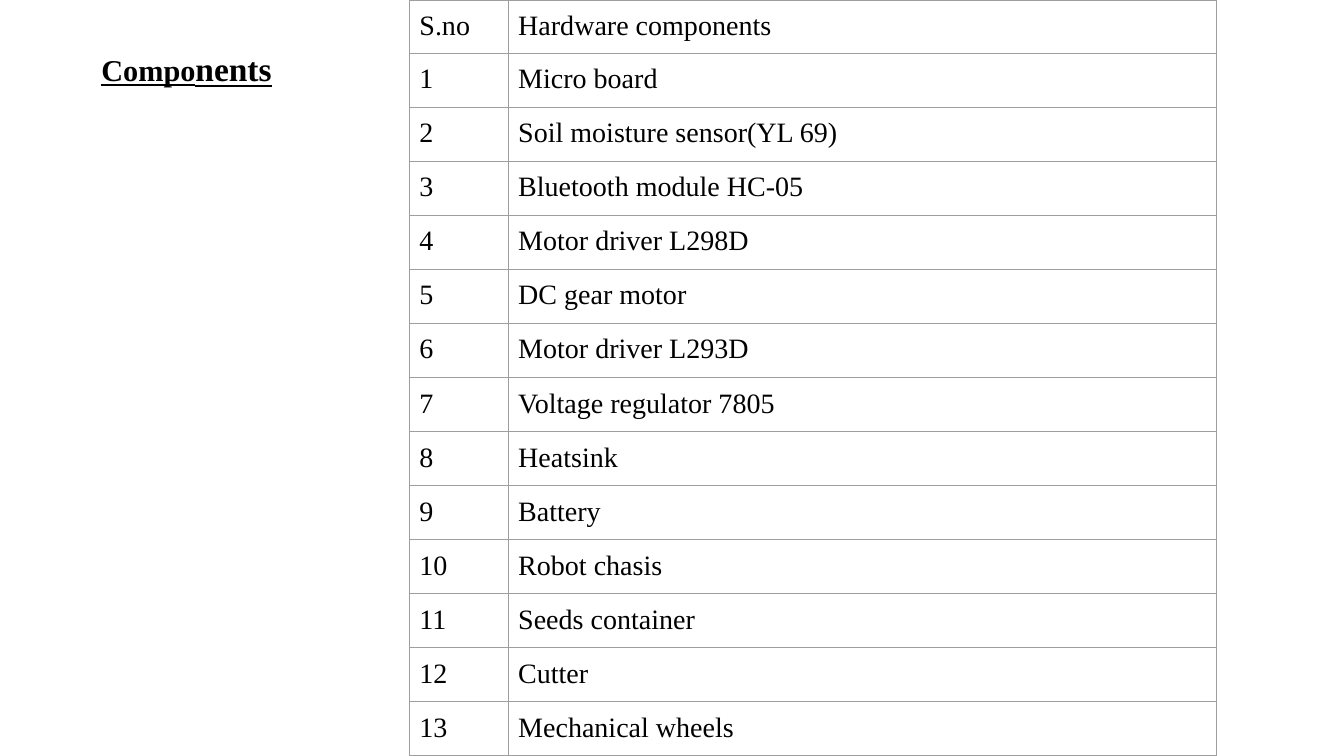
from dataclasses import dataclass

from lxml.etree import SubElement
from pptx import Presentation
from pptx.dml.color import RGBColor
from pptx.enum.text import MSO_ANCHOR, PP_ALIGN
from pptx.oxml.ns import qn
from pptx.slide import Slide
from pptx.table import _Cell
from pptx.text.text import _Paragraph
from pptx.util import Inches, Pt


@dataclass(frozen=True)
class Theme:
    font: str = "Times New Roman"
    text: RGBColor = RGBColor(0, 0, 0)
    border: str = "9E9E9E"
    border_width: float = 0.75
    title_start_size: float = 21.6
    title_end_size: float = 23.9
    table_size: float = 20


@dataclass(frozen=True)
class TableRow:
    number: str
    component: str


THEME = Theme()
HEADER = TableRow("S.no", "Hardware components")
COMPONENTS = [
    "Micro board",
    "Soil moisture sensor(YL 69)",
    "Bluetooth module HC-05",
    "Motor driver L298D",
    "DC gear motor",
    "Motor driver L293D",
    "Voltage regulator 7805",
    "Heatsink",
    "Battery",
    "Robot chasis",
    "Seeds container",
    "Cutter",
    "Mechanical wheels",
]
COLUMN_WIDTHS = (0.98, 7.03)
TABLE_HEIGHT = 7.45
EDGE_ROW_HEIGHT = 0.51


def add_run(paragraph: _Paragraph, text: str, size: float, heading: bool = False) -> None:
    run = paragraph.add_run()
    run.text = text
    run.font.name = THEME.font
    run.font.size = Pt(size)
    run.font.color.rgb = THEME.text
    run.font.bold = heading
    run.font.underline = heading


def add_title(slide: Slide) -> None:
    text_box = slide.shapes.add_textbox(Inches(0.46), Inches(0.48), Inches(2.78), Inches(0.45))
    frame = text_box.text_frame
    frame.word_wrap = True
    frame.vertical_anchor = MSO_ANCHOR.MIDDLE
    paragraph = frame.paragraphs[0]
    paragraph.alignment = PP_ALIGN.CENTER
    paragraph.line_spacing = 0.9
    add_run(paragraph, "Compo", THEME.title_start_size, heading=True)
    add_run(paragraph, "nents", THEME.title_end_size, heading=True)


def add_borders(cell: _Cell) -> None:
    """Draw all four cell edges; call before the fill, which must follow them in the XML."""
    properties = cell._tc.get_or_add_tcPr()
    for edge in ("a:lnL", "a:lnR", "a:lnT", "a:lnB"):
        line = SubElement(properties, qn(edge), w=str(Pt(THEME.border_width)))
        fill = SubElement(line, qn("a:solidFill"))
        SubElement(fill, qn("a:srgbClr"), val=THEME.border)


def fill_cell(cell: _Cell, text: str) -> None:
    cell.margin_left = cell.margin_right = Inches(0.1)
    cell.margin_top = cell.margin_bottom = Inches(0.1)
    add_borders(cell)
    cell.fill.background()
    add_run(cell.text_frame.paragraphs[0], text, THEME.table_size)


def add_component_table(slide: Slide) -> None:
    rows = [HEADER] + [TableRow(str(number), name) for number, name in enumerate(COMPONENTS, 1)]
    table = slide.shapes.add_table(
        len(rows), len(COLUMN_WIDTHS),
        Inches(4.06), Inches(0), Inches(sum(COLUMN_WIDTHS)), Inches(TABLE_HEIGHT),
    ).table
    table.first_row = False
    table.horz_banding = False
    for column, width in zip(table.columns, COLUMN_WIDTHS):
        column.width = Inches(width)

    inner_height = (TABLE_HEIGHT - 2 * EDGE_ROW_HEIGHT) / (len(rows) - 2)
    for index, row in enumerate(rows):
        is_edge = index in (0, len(rows) - 1)
        table.rows[index].height = Inches(EDGE_ROW_HEIGHT if is_edge else inner_height)
        fill_cell(table.cell(index, 0), row.number)
        fill_cell(table.cell(index, 1), row.component)


def main() -> None:
    presentation = Presentation()
    presentation.slide_width = Inches(13.33)
    presentation.slide_height = Inches(7.5)
    slide = presentation.slides.add_slide(presentation.slide_layouts[6])
    add_title(slide)
    add_component_table(slide)
    presentation.save("out.pptx")


if __name__ == "__main__":
    main()
